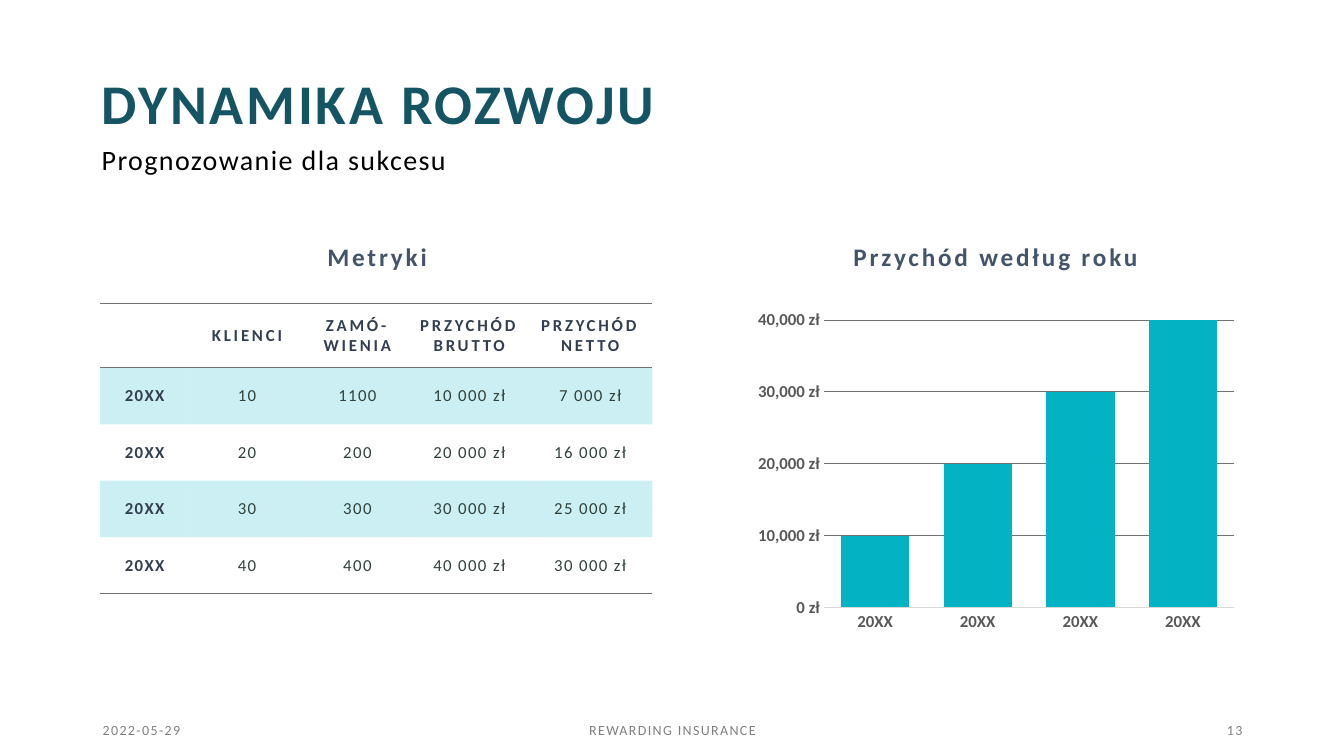
from lxml.etree import SubElement
from pptx import Presentation
from pptx.chart.data import CategoryChartData
from pptx.dml.color import RGBColor
from pptx.enum.chart import XL_CHART_TYPE, XL_TICK_MARK
from pptx.enum.text import MSO_ANCHOR, PP_ALIGN
from pptx.oxml import parse_xml
from pptx.oxml.ns import nsdecls, qn
from pptx.util import Inches, Pt

TITLE = RGBColor(0x15, 0x54, 0x63)
BLACK = RGBColor(0x00, 0x00, 0x00)
SLATE = RGBColor(0x44, 0x54, 0x6A)
NAVY = RGBColor(0x33, 0x3F, 0x50)
DARK = RGBColor(0x30, 0x42, 0x3A)
TEAL = RGBColor(0x04, 0xB3, 0xC3)
GREY = RGBColor(0x80, 0x80, 0x80)
LABEL = RGBColor(0x59, 0x59, 0x59)
GRID = RGBColor(0x76, 0x71, 0x71)
PALE = RGBColor(0xD9, 0xD9, 0xD9)
FONT = "Calibri"
NO_STYLE = "{2D5ABB26-0587-4C30-8999-92F81FD0307C}"

ROWS = [
    ["", "KLIENCI", "ZAMÓ-WIENIA", "PRZYCHÓD BRUTTO", "PRZYCHÓD NETTO"],
    ["20XX", "10", "1100", "10 000 zł", "7 000 zł"],
    ["20XX", "20", "200", "20 000 zł", "16 000 zł"],
    ["20XX", "30", "300", "30 000 zł", "25 000 zł"],
    ["20XX", "40", "400", "40 000 zł", "30 000 zł"],
]
WIDTHS = [0.89, 1.14, 1.05, 1.17, 1.23]
HEIGHTS = [0.64] + [0.56] * 4


def set_font(font, size, color, bold=False):
    font.name, font.size, font.bold = FONT, Pt(size), bold
    font.color.rgb = color


def style(para, size, color, bold=False, gap=1, align=PP_ALIGN.LEFT):
    """Format a paragraph; gap is the letter spacing in points."""
    para.alignment = align
    for run in para.runs:
        set_font(run.font, size, color, bold)
        run._r.get_or_add_rPr().set("spc", str(gap * 100))


def add_text(slide, box, text, size, color, anchor=MSO_ANCHOR.TOP, **look):
    frame = slide.shapes.add_textbox(*map(Inches, box)).text_frame
    frame.word_wrap = True
    frame.vertical_anchor = anchor
    para = frame.paragraphs[0]
    para.text = text
    style(para, size, color, **look)
    return para


def add_header(slide, left, top, width):
    para = add_text(slide, (left, top, width, 0.7), "DYNAMIKA ROZWOJU",
                    40, TITLE, MSO_ANCHOR.MIDDLE, bold=True, gap=2)
    para.line_spacing = 0.8
    para = add_text(slide, (left, top + 0.55, width, 0.59),
                    "Prognozowanie dla sukcesu", 20, BLACK)
    para.line_spacing = 1.25


def add_heading(slide, left, top, width, text):
    para = add_text(slide, (left, top, width, 0.49), text, 18, SLATE,
                    bold=True, gap=2, align=PP_ALIGN.CENTER)
    para.line_spacing = 0.9
    para.space_before = Pt(10)


def add_border(cell, side):
    cell._tc.get_or_add_tcPr().insert(0, parse_xml(
        f'<a:{side} {nsdecls("a")} w="12700"><a:solidFill>'
        f'<a:srgbClr val="{GRID}"/></a:solidFill></a:{side}>'))


def fill_cell(cell, row, col):
    cell.text = ROWS[row][col]
    cell.vertical_anchor = MSO_ANCHOR.MIDDLE
    head = row == 0 or col == 0
    style(cell.text_frame.paragraphs[0], 12, NAVY if head else DARK,
          bold=head, gap=2 if row == 0 else 1, align=PP_ALIGN.CENTER)
    if head:
        cell.margin_left = cell.margin_right = Inches(0.09)
        cell.margin_top = cell.margin_bottom = Inches(0.04)
    # Every other body row has a light teal band
    if row % 2:
        cell.fill.solid()
        cell.fill.fore_color.rgb = TEAL
        tint = cell._tc.tcPr.find(".//" + qn("a:srgbClr"))
        SubElement(tint, qn("a:alpha")).set("val", "20000")
    else:
        cell.fill.background()
    # Rules above and below the header, and below the last row
    if row in (0, len(ROWS) - 1):
        add_border(cell, "lnB")
    if row == 0:
        add_border(cell, "lnT")


def add_metrics(slide, left, top):
    box = map(Inches, (left, top, sum(WIDTHS), sum(HEIGHTS)))
    table = slide.shapes.add_table(len(ROWS), len(WIDTHS), *box).table
    table.horz_banding = False
    table._tbl.tblPr.find(qn("a:tableStyleId")).text = NO_STYLE
    for col, width in zip(table.columns, WIDTHS):
        col.width = Inches(width)
    for row, height in zip(table.rows, HEIGHTS):
        row.height = Inches(height)
    for row in range(len(ROWS)):
        for col in range(len(WIDTHS)):
            fill_cell(table.cell(row, col), row, col)


def add_sales(slide, left, top, width, height):
    data = CategoryChartData()
    data.categories = ["20XX"] * 4
    data.add_series("Series 1", [10000, 20000, 30000, 40000])
    chart = slide.shapes.add_chart(
        XL_CHART_TYPE.COLUMN_CLUSTERED,
        *map(Inches, (left, top, width, height)), data).chart
    chart.has_legend = chart.has_title = False
    chart.font.name, chart.font.size = "Karla", Pt(10)
    chart.font.color.rgb = BLACK
    # Columns
    plot = chart.plots[0]
    plot.gap_width, plot.overlap = 50, -27
    plot.vary_by_categories = False
    fill = plot.series[0].format.fill
    fill.solid()
    fill.fore_color.rgb = TEAL
    # Axes
    years, money = chart.category_axis, chart.value_axis
    for axis in (years, money):
        axis.major_tick_mark = axis.minor_tick_mark = XL_TICK_MARK.NONE
        set_font(axis.tick_labels.font, 12, LABEL, True)
    years.format.line.color.rgb = PALE
    years.format.line.width = Pt(0.75)
    money.format.line.fill.background()
    money.minimum_scale, money.maximum_scale = 0, 40000
    money.major_unit = 10000
    money.tick_labels.number_format = '#,##0\\ "zł"'
    money.tick_labels.number_format_is_linked = False
    grid = money.major_gridlines.format.line
    grid.color.rgb = GRID
    grid.width = Pt(0.75)


def add_footer(slide, left, top):
    parts = [
        (0, 3, "2022-05-29", PP_ALIGN.LEFT),
        (3.5, 4.5, "REWARDING INSURANCE", PP_ALIGN.CENTER),
        (8.5, 3, "13", PP_ALIGN.RIGHT),
    ]
    for shift, width, text, align in parts:
        add_text(slide, (left + shift, top, width, 0.22), text, 10, GREY,
                 MSO_ANCHOR.MIDDLE, align=align)


def main():
    deck = Presentation()
    deck.slide_width, deck.slide_height = Inches(13.33), Inches(7.5)
    slide = deck.slides.add_slide(deck.slide_layouts[6])
    add_header(slide, 0.91, 0.73, 6.38)
    add_heading(slide, 1, 2.38, 5.48, "Metryki")
    add_metrics(slide, 0.99, 3.01)
    add_heading(slide, 7.42, 2.38, 4.91, "Przychód według roku")
    add_sales(slide, 7.42, 3.01, 4.92, 3.32)
    add_footer(slide, 0.92, 7.13)
    deck.save("out.pptx")


if __name__ == "__main__":
    main()
